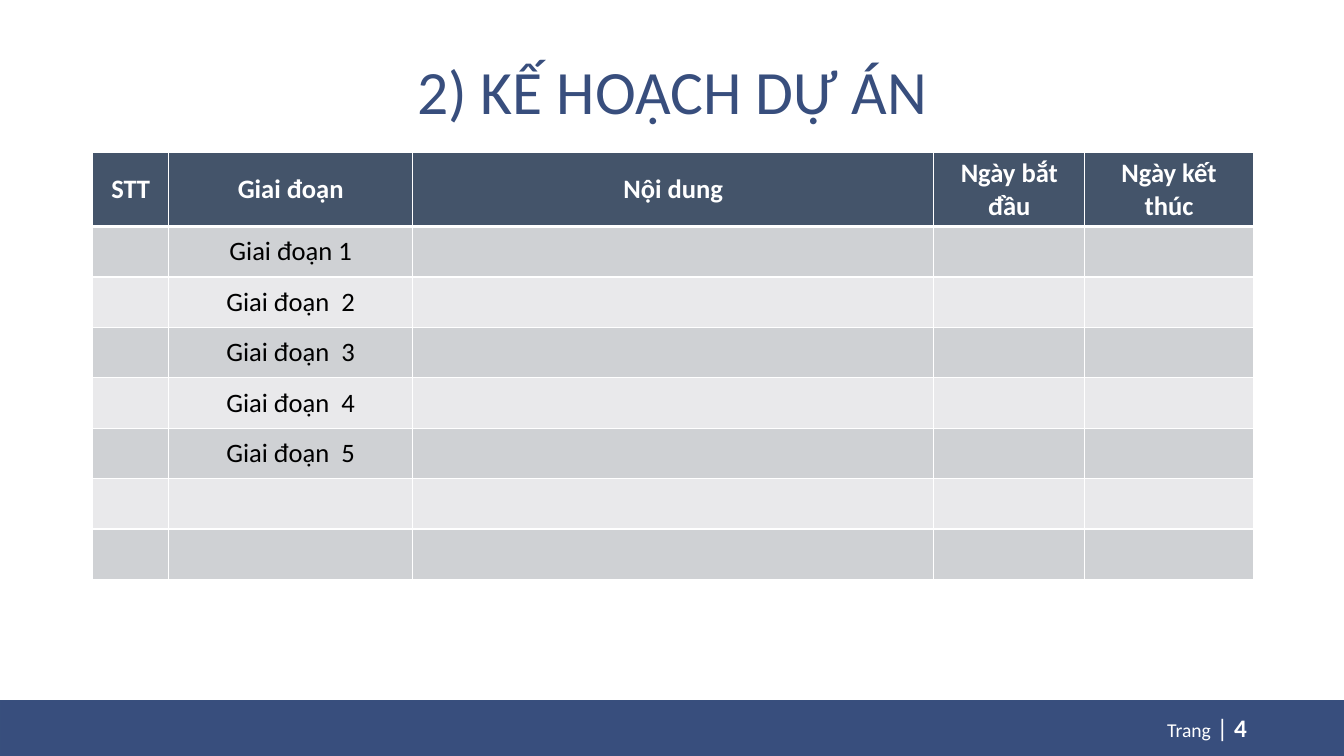
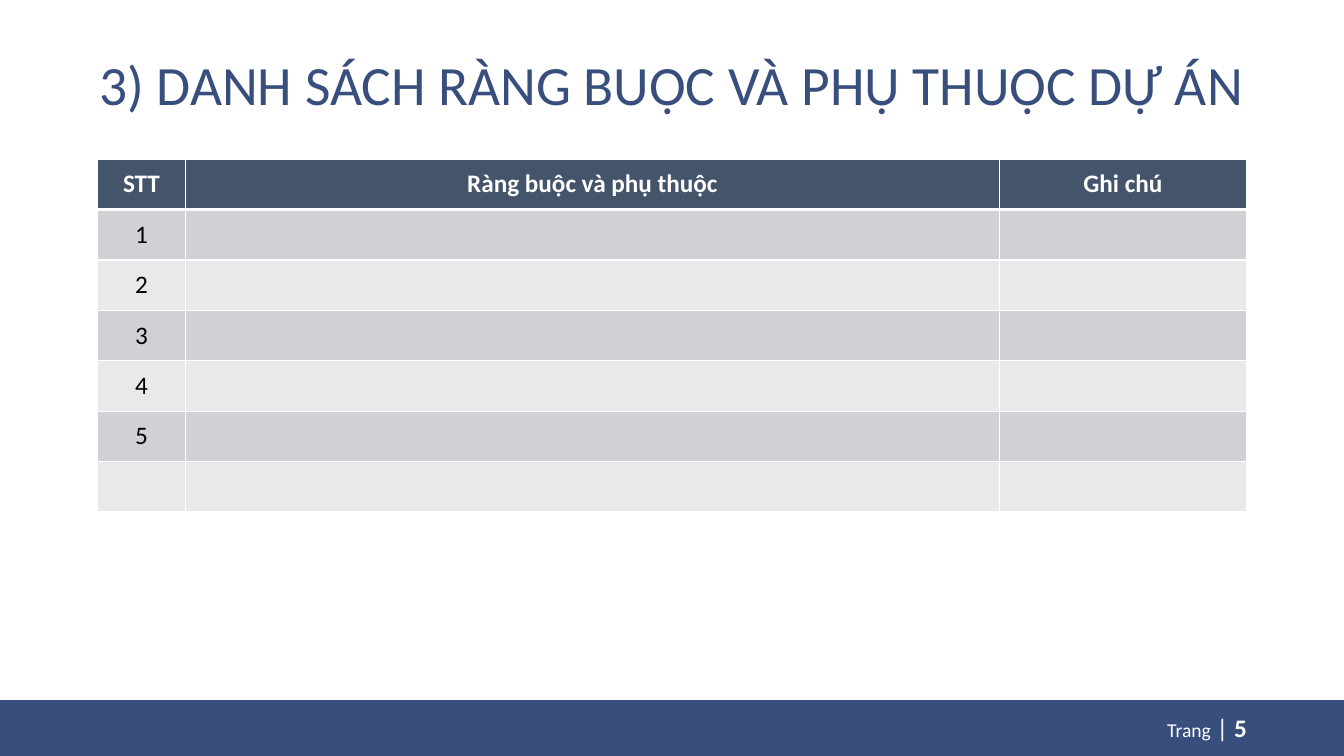
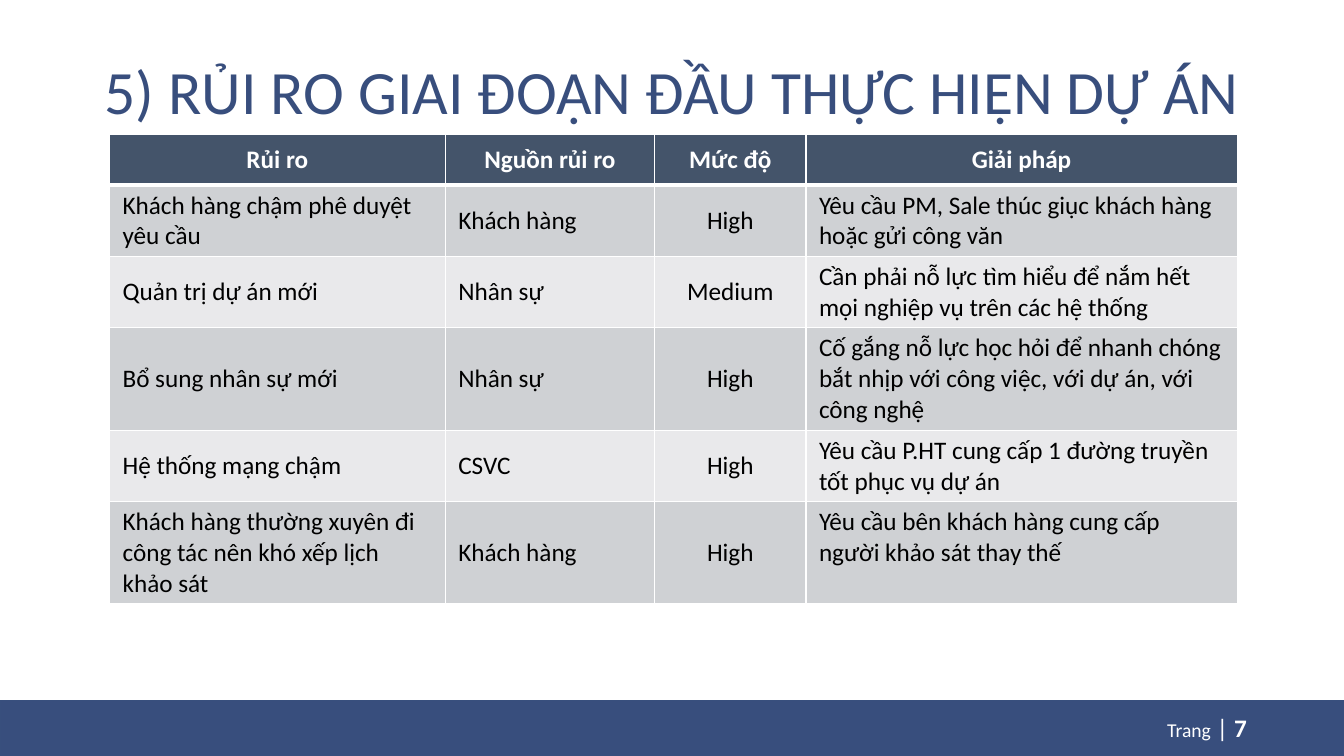
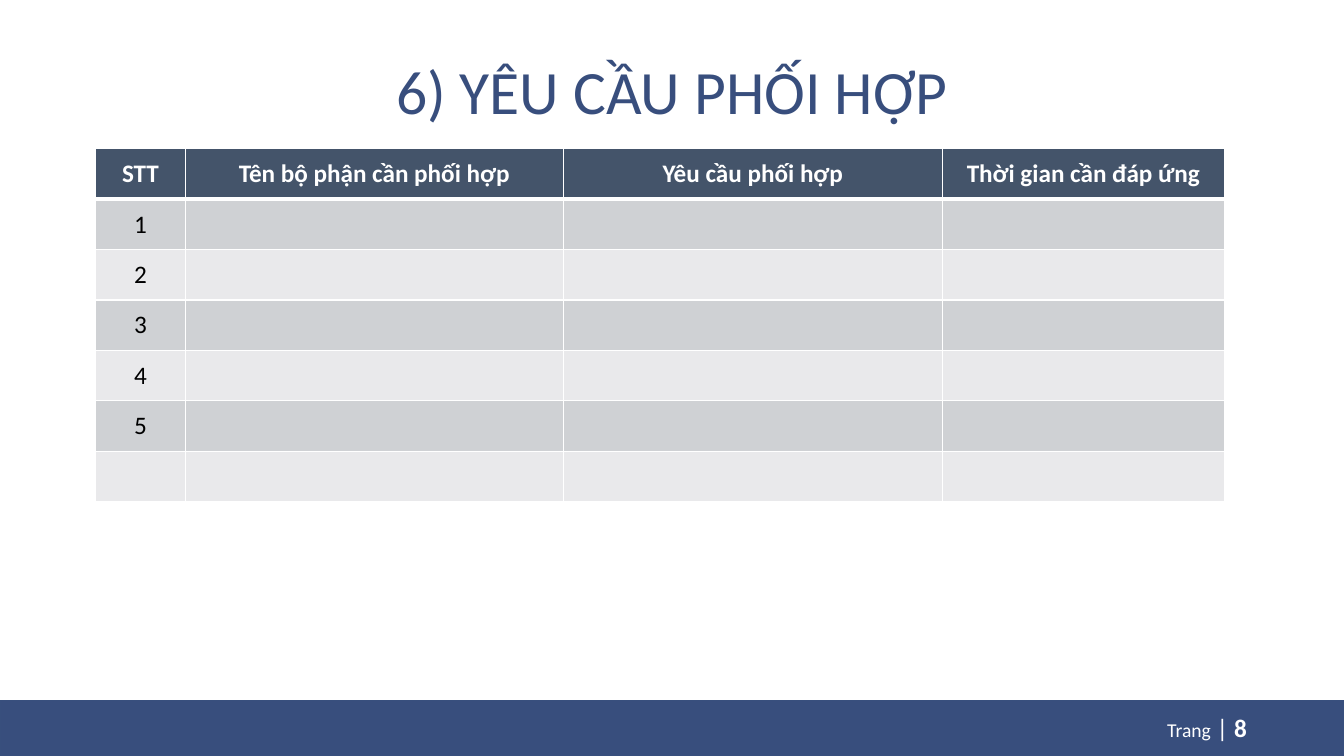
from dataclasses import dataclass

from pptx import Presentation
from pptx.dml.color import RGBColor
from pptx.enum.shapes import MSO_SHAPE as Preset
from pptx.enum.text import MSO_ANCHOR as Anchor, PP_ALIGN as Align
from pptx.oxml import parse_xml
from pptx.oxml.ns import nsdecls
from pptx.slide import Slide
from pptx.table import _Cell as Cell
from pptx.util import Cm, Pt

# Shared style
FONT = "Calibri"
NAVY = RGBColor(0x38, 0x4E, 0x7D)
NAVY_LINE = RGBColor(0x38, 0x4F, 0x7D)
SLATE = RGBColor(0x44, 0x54, 0x6A)
BAND_DARK = RGBColor(0xCF, 0xD1, 0xD4)
BAND_LIGHT = RGBColor(0xE9, 0xE9, 0xEB)
WHITE = RGBColor(0xFF, 0xFF, 0xFF)
BLACK = RGBColor(0x00, 0x00, 0x00)

SLIDE_WIDTH, SLIDE_HEIGHT = 33.87, 19.05
BAND_HEIGHT = 1.4
ROW_HEIGHT, TWO_LINES, THREE_LINES = 1.27, 1.8, 2.58
CELL_FORMAT = {
    "margin_left": Cm(0.33),
    "margin_right": Cm(0.33),
    "margin_top": Cm(0.13),
    "margin_bottom": Cm(0.13),
    "vertical_anchor": Anchor.MIDDLE,
}


@dataclass(frozen=True)
class Box:
    left: float
    top: float
    width: float
    height: float

    def lengths(self) -> tuple[Cm, Cm, Cm, Cm]:
        return Cm(self.left), Cm(self.top), Cm(self.width), Cm(self.height)


@dataclass(frozen=True)
class TextRun:
    text: str
    size: float
    color: RGBColor
    bold: bool = False


@dataclass(frozen=True)
class TableData:
    left: float
    top: float
    widths: list[float]
    heights: list[float]
    rows: list[list[str]]
    size: float = 18
    left_columns: tuple[int, ...] = ()
    top_cells: tuple[tuple[int, int], ...] = ()


@dataclass(frozen=True)
class Page:
    number: int
    title: str
    table: TableData
    title_box: Box = Box(2.34, 1.02, 29.21, 2.72)
    title_size: float = 44


TITLE_FORMAT = {"alignment": Align.CENTER, "line_spacing": 0.9}
FOOTER_BOX = Box(24.05, 17.83, 7.62, 1.02)
FOOTER_FORMAT = {"alignment": Align.RIGHT}


def apply_format(target: object, values: dict) -> None:
    for name, value in values.items():
        setattr(target, name, value)


def write_runs(paragraph, runs: list[TextRun], paragraph_format: dict) -> None:
    apply_format(paragraph, paragraph_format)
    for item in runs:
        run = paragraph.add_run()
        run.text = item.text
        apply_format(run.font, {"name": FONT, "size": Pt(item.size), "bold": item.bold})
        run.font.color.rgb = item.color


def add_text(slide: Slide, box: Box, runs: list[TextRun], paragraph_format: dict) -> None:
    frame = slide.shapes.add_textbox(*box.lengths()).text_frame
    apply_format(frame, {"word_wrap": True, "vertical_anchor": Anchor.MIDDLE})
    write_runs(frame.paragraphs[0], runs, paragraph_format)


def add_footer(slide: Slide, number: int) -> None:
    box = Box(0, SLIDE_HEIGHT - BAND_HEIGHT, SLIDE_WIDTH, BAND_HEIGHT)
    band = slide.shapes.add_shape(Preset.RECTANGLE, *box.lengths())
    band.shadow.inherit = False
    band.fill.solid()
    band.fill.fore_color.rgb = NAVY
    band.line.color.rgb = NAVY_LINE
    band.line.width = Pt(1)
    runs = [
        TextRun("Trang", 14, WHITE),
        TextRun(" | ", 18, WHITE),
        TextRun(str(number), 18, WHITE, True),
    ]
    add_text(slide, FOOTER_BOX, runs, FOOTER_FORMAT)


def add_borders(cell: Cell, top: float, bottom: float) -> None:
    properties = cell._tc.get_or_add_tcPr()
    widths = {"lnL": 1, "lnR": 1, "lnT": top, "lnB": bottom}
    for position, (tag, width) in enumerate(widths.items()):
        border = parse_xml(
            f'<a:{tag} {nsdecls("a")} w="{Pt(width)}"><a:solidFill>'
            f'<a:srgbClr val="{WHITE}"/></a:solidFill></a:{tag}>'
        )
        properties.insert(position, border)


def add_table(slide: Slide, data: TableData) -> None:
    box = Box(data.left, data.top, sum(data.widths), sum(data.heights))
    table = slide.shapes.add_table(len(data.rows), len(data.widths), *box.lengths()).table
    apply_format(table, {"first_row": False, "horz_banding": False})
    for column, width in zip(table.columns, data.widths):
        column.width = Cm(width)
    for row, height in zip(table.rows, data.heights):
        row.height = Cm(height)

    for row_index, texts in enumerate(data.rows):
        header = row_index == 0
        fill = SLATE if header else BAND_DARK if row_index % 2 else BAND_LIGHT
        for column_index, text in enumerate(texts):
            cell = table.cell(row_index, column_index)
            apply_format(cell, CELL_FORMAT)
            if (row_index, column_index) in data.top_cells:
                cell.vertical_anchor = Anchor.TOP
            cell.fill.solid()
            cell.fill.fore_color.rgb = fill
            add_borders(cell, 3 if row_index == 1 else 1, 3 if header else 1)
            if text:
                at_left = not header and column_index in data.left_columns
                run = TextRun(text, data.size, WHITE if header else BLACK, header)
                alignment = Align.LEFT if at_left else Align.CENTER
                write_runs(cell.text_frame.paragraphs[0], [run], {"alignment": alignment})


def numbered_rows(header: list[str]) -> list[list[str]]:
    """A header, five numbered rows and one empty row."""
    blanks = [""] * (len(header) - 1)
    return [header] + [[label, *blanks] for label in ("1", "2", "3", "4", "5", "")]


# Slide content
PHASES = ["Giai đoạn 1", *(f"Giai đoạn  {number}" for number in range(2, 6)), "", ""]

PLAN = TableData(
    2.34, 3.84, [1.91, 6.15, 13.13, 3.81, 4.24], [1.85] + [ROW_HEIGHT] * 7,
    [["STT", "Giai đoạn", "Nội dung", "Ngày bắt đầu", "Ngày kết thúc"]]
    + [["", phase, "", "", ""] for phase in PHASES],
    size=19,
)
CONSTRAINTS = TableData(
    2.46, 4.01, [2.21, 20.52, 6.22], [ROW_HEIGHT] * 7,
    numbered_rows(["STT", "Ràng buộc và phụ thuộc", "Ghi chú"]),
)
RISKS = TableData(
    2.76, 3.39, [8.46, 5.28, 3.81, 10.87],
    [ROW_HEIGHT, TWO_LINES, TWO_LINES, THREE_LINES, TWO_LINES, THREE_LINES],
    [
        ["Rủi ro", "Nguồn rủi ro", "Mức độ", "Giải pháp"],
        ["Khách hàng chậm phê duyệt yêu cầu", "Khách hàng", "High",
         "Yêu cầu PM, Sale thúc giục khách hàng hoặc gửi công văn"],
        ["Quản trị dự án mới", "Nhân sự", "Medium",
         "Cần phải nỗ lực tìm hiểu để nắm hết mọi nghiệp vụ trên các hệ thống"],
        ["Bổ sung nhân sự mới", "Nhân sự", "High",
         "Cố gắng nỗ lực học hỏi để nhanh chóng bắt nhịp với công việc, "
         "với dự án, với công nghệ"],
        ["Hệ thống mạng chậm", "CSVC", "High",
         "Yêu cầu P.HT cung cấp 1 đường truyền tốt phục vụ dự án"],
        ["Khách hàng thường xuyên đi công tác nên khó xếp lịch khảo sát",
         "Khách hàng", "High",
         "Yêu cầu bên khách hàng cung cấp người khảo sát thay thế"],
    ],
    left_columns=(0, 1, 3),
    top_cells=((5, 3),),
)
COORDINATION = TableData(
    2.41, 3.75, [2.26, 9.53, 9.55, 7.11], [ROW_HEIGHT] * 7,
    numbered_rows(["STT", "Tên bộ phận cần phối hợp", "Yêu cầu phối hợp",
                   "Thời gian cần đáp ứng"]),
)

PAGES = [
    Page(4, "2) KẾ HOẠCH DỰ ÁN", PLAN),
    Page(5, "3) DANH SÁCH RÀNG BUỘC VÀ PHỤ THUỘC DỰ ÁN", CONSTRAINTS,
         Box(1.47, 0.84, 30.91, 2.72), 39.6),
    Page(7, "5) RỦI RO GIAI ĐOẠN ĐẦU THỰC HIỆN DỰ ÁN", RISKS),
    Page(8, "6) YÊU CẦU PHỐI HỢP", COORDINATION),
]


def main() -> None:
    presentation = Presentation()
    presentation.slide_width = Cm(SLIDE_WIDTH)
    presentation.slide_height = Cm(SLIDE_HEIGHT)
    blank_layout = presentation.slide_layouts[6]
    for page in PAGES:
        slide = presentation.slides.add_slide(blank_layout)
        add_footer(slide, page.number)
        title = TextRun(page.title, page.title_size, NAVY)
        add_text(slide, page.title_box, [title], TITLE_FORMAT)
        add_table(slide, page.table)
    presentation.save("out.pptx")


if __name__ == "__main__":
    main()
